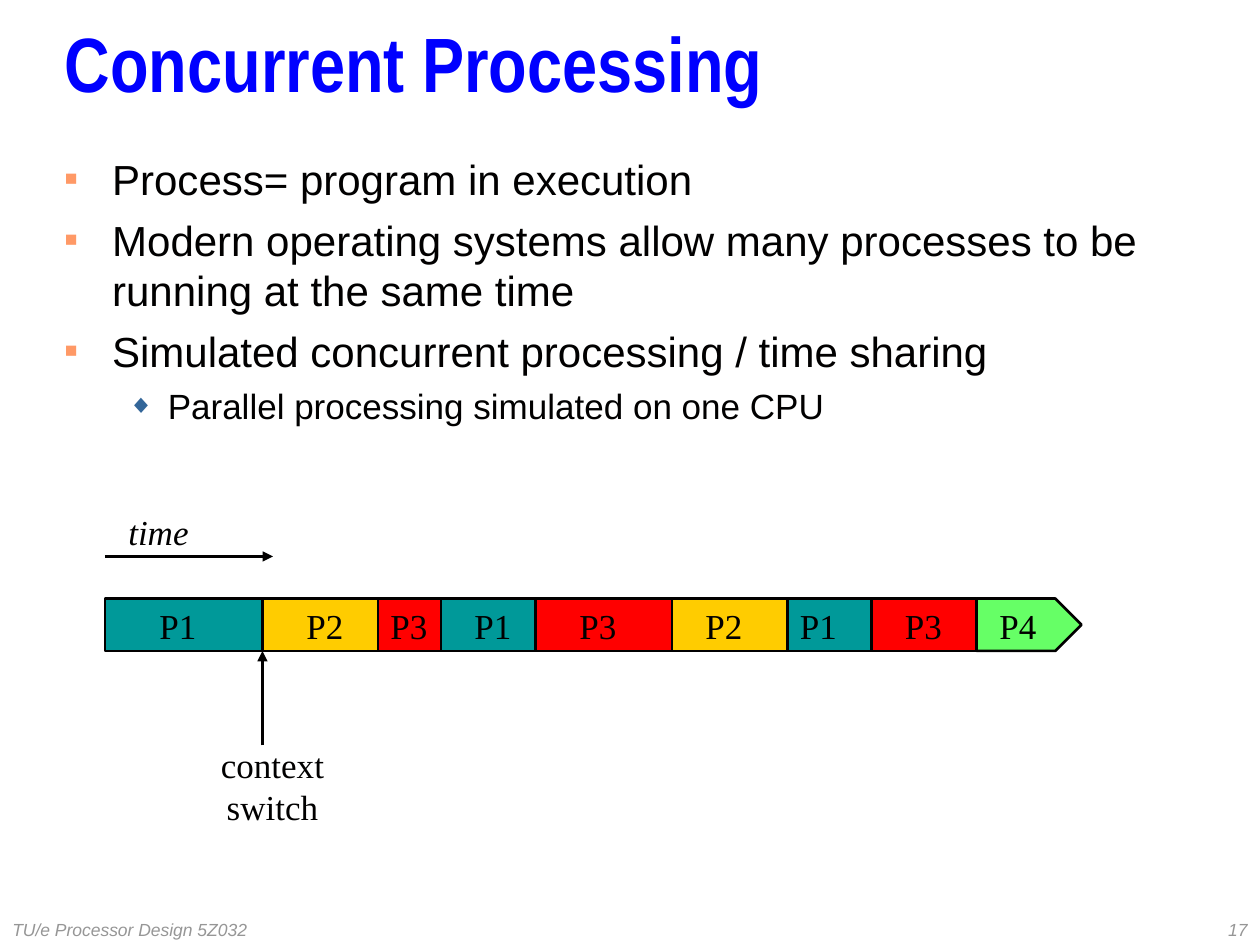
from dataclasses import dataclass

from lxml.etree import SubElement
from pptx import Presentation
from pptx.dml.color import RGBColor
from pptx.enum.shapes import MSO_CONNECTOR, MSO_SHAPE
from pptx.enum.text import MSO_ANCHOR, MSO_AUTO_SIZE, PP_ALIGN
from pptx.oxml.ns import qn
from pptx.util import Emu, Pt

PX = 914400 // 120  # 120 px to the inch


@dataclass(frozen=True)
class Theme:
    ink: str = "010000"
    title: str = "0000FF"
    footer: str = "969696"
    sans: str = "Arial"
    narrow: str = "Arial Narrow"
    serif: str = "Times New Roman"
    title_size: int = 44
    body_size: int = 24
    label_size: int = 20
    footer_size: int = 10
    line_width: float = 1.5


THEME = Theme()
PROCESS_COLORS = {"P1": "009999", "P2": "FFCC00", "P3": "FF0000", "P4": "66FF66"}
BAR_TOP, BAR_HEIGHT = 570, 50
LABEL_WIDTH, LABEL_HEIGHT = 59, 53

# process, slice left, slice width, label left
SLICES = [
    ("P1", 100, 150, 140),
    ("P1", 420, 90, 440),
    ("P1", 740, 90, 750),
    ("P2", 250, 110, 280),
    ("P2", 640, 110, 660),
    ("P3", 360, 60, 360),
    ("P3", 510, 130, 540),
    ("P3", 830, 100, 850),
]

# text, level
BULLETS = [
    ("Process= program in execution", 0),
    ("Modern operating systems allow many processes to be running at the same time", 0),
    ("Simulated concurrent processing / time sharing", 0),
    ("Parallel processing simulated on one CPU", 1),
]

# by level: left margin and hanging indent in px, space before, size,
# bullet character, bullet colour, bullet size in percent
LEVELS = [
    (45, 45, 6, THEME.body_size, "■", "FF9966", 50),
    (98, 38, 5, THEME.label_size, "◆", "336699", 75),
]


def px(*lengths):
    return [Emu(length * PX) for length in lengths]


def style_font(font, name, size, color, bold=False, italic=False):
    font.name, font.size = name, Pt(size)
    font.bold, font.italic = bold, italic
    font.color.rgb = RGBColor.from_string(color)


def add_text(page, text, bounds, font, align=PP_ALIGN.LEFT, anchor=MSO_ANCHOR.MIDDLE):
    box = page.shapes.add_textbox(*px(*bounds))
    frame = box.text_frame
    frame.word_wrap = True
    frame.vertical_anchor = anchor
    frame.text = text
    paragraph = frame.paragraphs[0]
    paragraph.alignment = align
    style_font(paragraph.runs[0].font, **font)
    return box


def add_label(page, text, left, top, width, italic=False):
    font = dict(name=THEME.serif, size=THEME.label_size, color=THEME.ink, italic=italic)
    box = add_text(page, text, (left, top, width, LABEL_HEIGHT), font,
                   PP_ALIGN.CENTER, MSO_ANCHOR.TOP)
    box.text_frame.word_wrap = False
    box.text_frame.auto_size = MSO_AUTO_SIZE.SHAPE_TO_FIT_TEXT


def add_bullet(paragraph, character, color, percent):
    properties = paragraph._p.get_or_add_pPr()
    bullet_color = SubElement(properties, qn("a:buClr"))
    SubElement(bullet_color, qn("a:srgbClr"), val=color)
    SubElement(properties, qn("a:buSzPct"), val=str(percent * 1000))
    SubElement(properties, qn("a:buFont"), typeface=THEME.sans)
    SubElement(properties, qn("a:buChar"), char=character)


def add_bullet_list(page, items, bounds):
    frame = page.shapes.add_textbox(*px(*bounds)).text_frame
    frame.word_wrap = True
    frame.text = "\n".join(text for text, level in items)
    for index, (paragraph, (text, level)) in enumerate(zip(frame.paragraphs, items)):
        margin, hanging, space, size, character, color, percent = LEVELS[level]
        paragraph.level = level
        properties = paragraph._p.get_or_add_pPr()
        properties.set("marL", str(margin * PX))
        properties.set("indent", str(-hanging * PX))
        if index:
            paragraph.space_before = Pt(space)
        add_bullet(paragraph, character, color, percent)
        style_font(paragraph.runs[0].font, THEME.sans, size, THEME.ink)


def style_shape(shape, fill):
    shape.shadow.inherit = False
    shape.fill.solid()
    shape.fill.fore_color.rgb = RGBColor.from_string(fill)
    style_line(shape.line)


def style_line(line):
    line.color.rgb = RGBColor.from_string(THEME.ink)
    line.width = Pt(THEME.line_width)


def add_slice(page, process, left, width):
    bounds = px(left, BAR_TOP, width, BAR_HEIGHT)
    style_shape(page.shapes.add_shape(MSO_SHAPE.RECTANGLE, *bounds), PROCESS_COLORS[process])


def add_last_slice(page, process, left, shoulder, tip):
    """Closes the time bar with a slice that points to the right."""
    bottom = BAR_TOP + BAR_HEIGHT
    builder = page.shapes.build_freeform(left, BAR_TOP, scale=PX)
    builder.add_line_segments(
        [(shoulder, BAR_TOP), (tip, BAR_TOP + BAR_HEIGHT // 2), (shoulder, bottom), (left, bottom)]
    )
    style_shape(builder.convert_to_shape(), PROCESS_COLORS[process])


def add_arrow(page, start, end):
    arrow = page.shapes.add_connector(MSO_CONNECTOR.STRAIGHT, *px(*start, *end))
    style_line(arrow.line)
    SubElement(arrow.line._get_or_add_ln(), qn("a:tailEnd"), type="triangle")
    SubElement(arrow._element.spPr, qn("a:effectLst"))


def add_time_bar(page):
    for process, left, width, label_left in SLICES:
        add_slice(page, process, left, width)
    add_last_slice(page, "P4", 930, 1005, 1030)
    for process, left, width, label_left in SLICES:
        add_label(page, process, label_left, BAR_TOP, LABEL_WIDTH)
    add_label(page, "P4", 940, BAR_TOP, LABEL_WIDTH)


def add_footer(page):
    font = dict(name=THEME.sans, size=THEME.footer_size, color=THEME.footer, italic=True)
    add_text(page, "TU/e Processor Design 5Z032", (0, 870, 250, 30), font)
    add_text(page, "17", (950, 870, 250, 30), font, PP_ALIGN.RIGHT)


def main():
    deck = Presentation()
    deck.slide_width, deck.slide_height = px(1200, 900)
    page = deck.slides.add_slide(deck.slide_layouts[6])

    title_font = dict(name=THEME.narrow, size=THEME.title_size, color=THEME.title, bold=True)
    title = add_text(page, "Concurrent Processing", (50, 20, 1100, 100), title_font)
    title.text_frame.paragraphs[0].line_spacing = 0.7
    add_bullet_list(page, BULLETS, (50, 140, 1100, 620))

    add_time_bar(page)
    add_arrow(page, (100, 530), (260, 530))
    add_label(page, "time", 110, 480, 82, italic=True)
    add_arrow(page, (250, 710), (250, BAR_TOP + BAR_HEIGHT))
    add_label(page, "context switch", 151, 702, 217)
    add_footer(page)
    deck.save("out.pptx")


if __name__ == "__main__":
    main()
